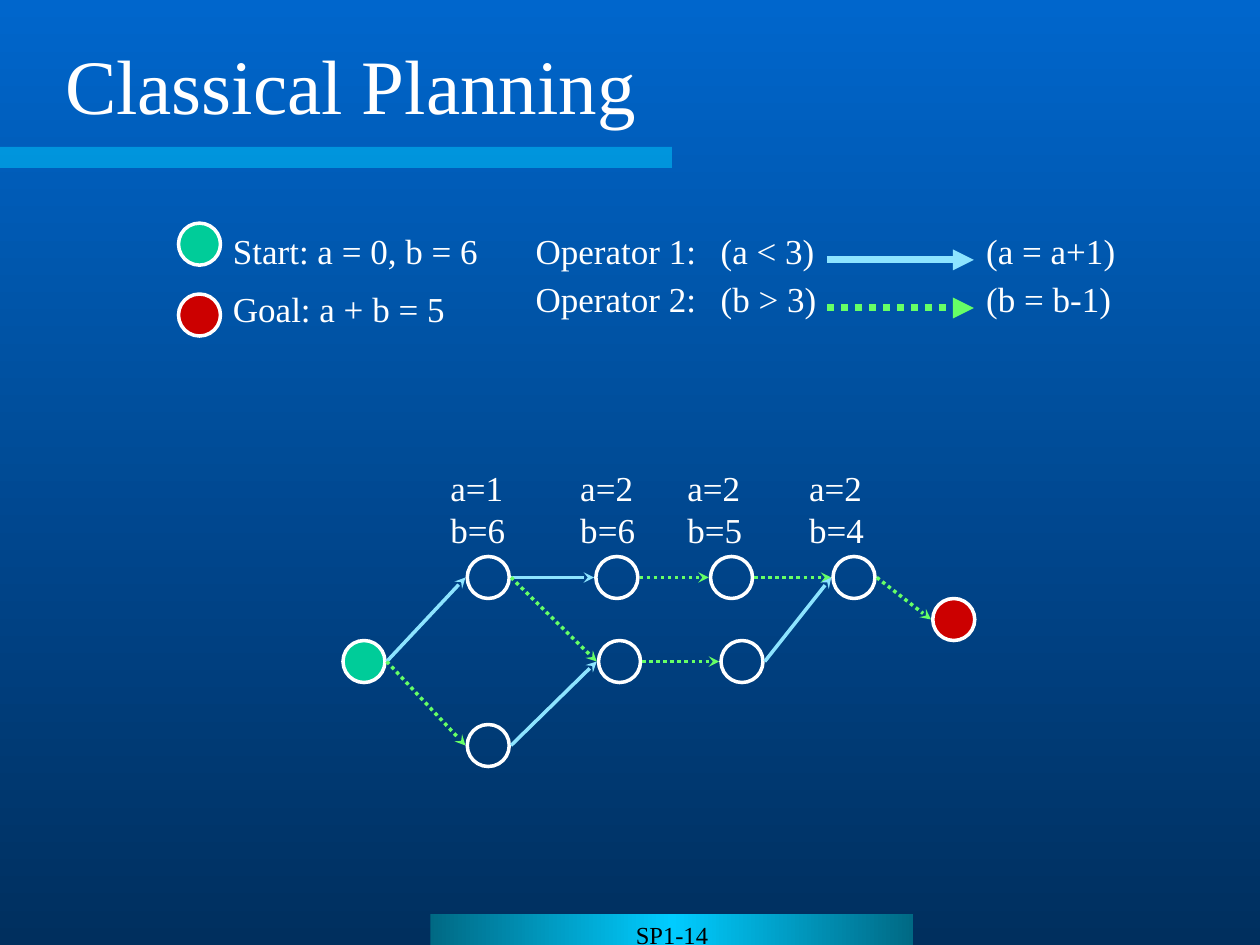
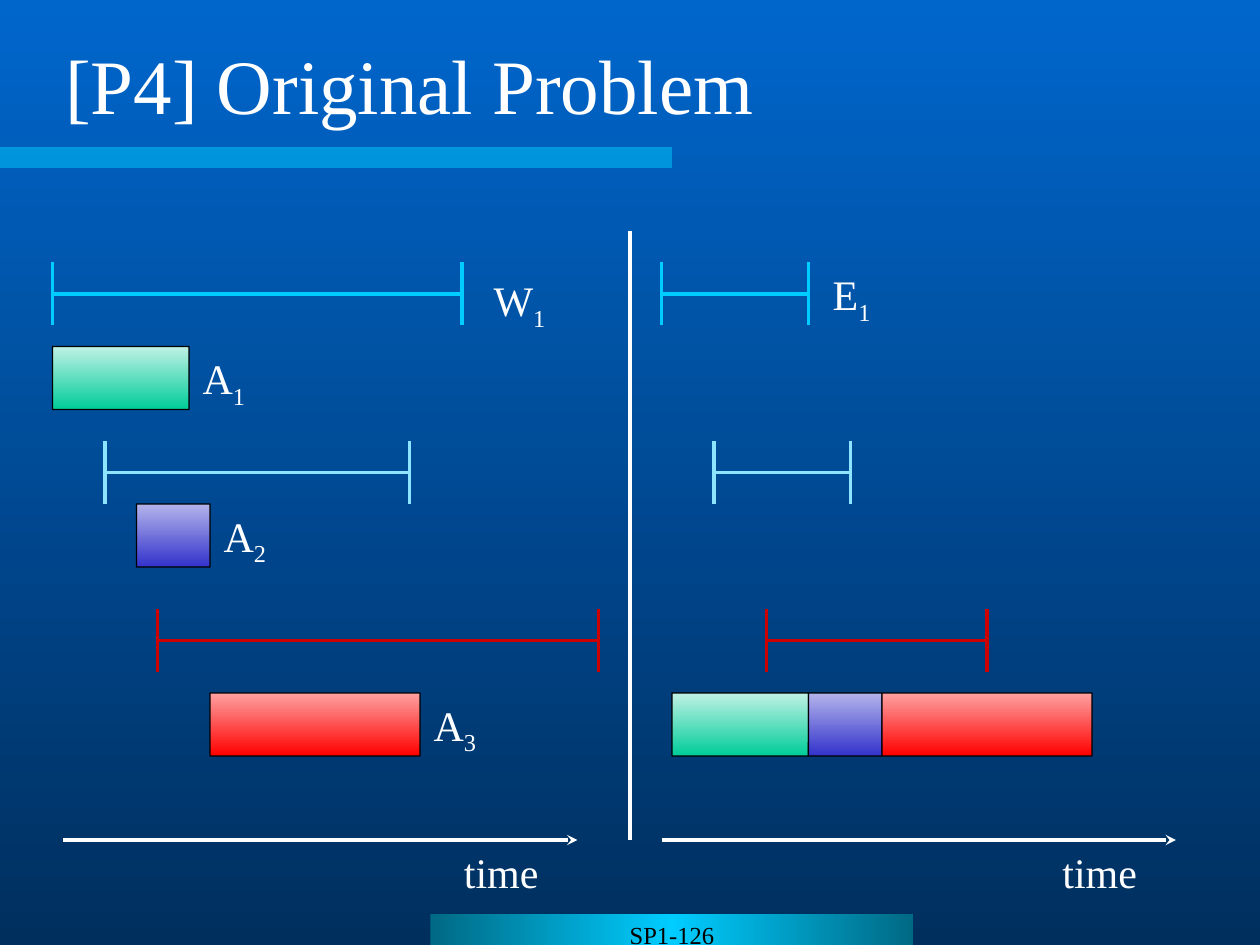
from copy import deepcopy

from pptx import Presentation
from pptx.dml.color import RGBColor
from pptx.enum.dml import MSO_LINE
from pptx.enum.shapes import MSO_CONNECTOR, MSO_SHAPE
from pptx.enum.text import MSO_ANCHOR, MSO_AUTO_SIZE, PP_ALIGN
from pptx.oxml.ns import qn
from pptx.util import Pt

RECT, ROUND, OVAL = MSO_SHAPE.RECTANGLE, MSO_SHAPE.ROUNDED_RECTANGLE, MSO_SHAPE.OVAL
STRAIGHT, DOTS = MSO_CONNECTOR.STRAIGHT, MSO_LINE.ROUND_DOT
LEFT, CENTER = PP_ALIGN.LEFT, PP_ALIGN.CENTER
TOP, MIDDLE = MSO_ANCHOR.TOP, MSO_ANCHOR.MIDDLE
FIXED = MSO_AUTO_SIZE.NONE

FACE = "Times New Roman"
COLOR = {
    "sky": "0066CC", "deep": "002F5E", "cyan": "00CCFF", "teal": "006984",
    "pale": "8DE4FF", "lime": "66FF66", "start": "00CC99", "goal": "CC0000",
    "white": "FFFFFF", "black": "000000",
}
# Top colour, bottom colour and outline width of each activity bar
BARS = {
    "A1": ("C0F1E5", "00CC99", 0.71),
    "A2": ("B3B3EB", "3333CC", 0.75),
    "A3": ("FEA1A1", "FF0000", 0.71),
}
WIDTHS = {"A1": 78, "A2": 42, "A3": 120}
RAD = 12  # node radius
GAP = 13  # from a node's centre to the end of an edge


def rgb(name):
    return RGBColor.from_string(COLOR.get(name, name))


def shade(fill, first, last, angle):
    fill.gradient()
    fill.gradient_angle = angle
    for stop, name, place in zip(fill.gradient_stops, (first, last), (0, 1)):
        stop.color.rgb = rgb(name)
        stop.position = place


def write(frame, *lines, size=20, color="white", align=LEFT, anchor=TOP,
          sub=None, wrap=False):
    """Fill a text frame; sub is a subscript after the last line."""
    frame.word_wrap = wrap
    frame.auto_size = FIXED
    frame.vertical_anchor = anchor
    for i, line in enumerate(lines):
        para = frame.add_paragraph() if i else frame.paragraphs[0]
        para.alignment = align
        para.add_run().text = line
    if sub:
        low = para.add_run()
        low.text = sub
        low._r.get_or_add_rPr().set("baseline", "-25000")
    for para in frame.paragraphs:
        for run in para.runs:
            run.font.name = FACE
            run.font.size = Pt(size)
            run.font.color.rgb = rgb(color)


def label(slide, x, y, w, h, *lines, **style):
    box = slide.shapes.add_textbox(Pt(x), Pt(y), Pt(w), Pt(h))
    write(box.text_frame, *lines, **style)


def shape(slide, kind, x, y, w, h, fill=None, line=None, width=2):
    item = slide.shapes.add_shape(kind, Pt(x), Pt(y), Pt(w), Pt(h))
    item.shadow.inherit = False
    if fill:
        item.fill.solid()
        item.fill.fore_color.rgb = rgb(fill)
    else:
        item.fill.background()
    if line:
        item.line.color.rgb = rgb(line)
        item.line.width = Pt(width)
    else:
        item.line.fill.background()
    return item


def stroke(slide, x1, y1, x2, y2, color="white", width=2, dots=False, tip=None):
    link = slide.shapes.add_connector(STRAIGHT, Pt(x1), Pt(y1), Pt(x2), Pt(y2))
    link.line.color.rgb = rgb(color)
    link.line.width = Pt(width)
    if dots:
        link.line.dash_style = DOTS
    props = link._element.spPr
    if tip:
        ln = props.find(qn("a:ln"))
        ln.append(ln.makeelement(qn("a:tailEnd"), {"type": tip}))
    props.append(props.makeelement(qn("a:effectLst"), {}))


def page(deck, title, number):
    """Add a slide with the shared background, title, rule and footer."""
    slide = deck.slides.add_slide(deck.slide_layouts[5])
    shade(slide.background.fill, "sky", "deep", 270)

    rule = shape(slide, RECT, 0, 84, 384, 12, "cyan")
    tint = next(rule._element.spPr.iter(qn("a:srgbClr")))
    tint.append(tint.makeelement(qn("a:alpha"), {"val": "50000"}))

    foot = shape(slide, RECT, 246, 522, 276, 18)
    shade(foot.fill, "teal", "teal", 0)
    stops = next(foot._element.spPr.iter(qn("a:gsLst")))
    stops.insert(1, deepcopy(stops[0]))
    mid = foot.fill.gradient_stops[1]
    mid.position = 0.5
    mid.color.rgb = rgb("cyan")
    write(foot.text_frame, number, size=14, color="black", align=CENTER, wrap=True)

    head = slide.shapes.title
    head.left, head.top, head.width, head.height = Pt(30), Pt(18), Pt(666), Pt(60)
    write(head.text_frame, title, size=44, anchor=MIDDLE, wrap=True)
    return slide


def node(slide, x, y, fill=None):
    shape(slide, OVAL, x - RAD, y - RAD, 2 * RAD, 2 * RAD, fill, "white")


def step(slide, x1, y1, x2, y2, kind, **style):
    """Draw an arrow for operator 1 (solid) or 2 (dotted)."""
    color = "pale" if kind == 1 else "lime"
    stroke(slide, x1, y1, x2, y2, color, dots=kind == 2, **style)


def legend(slide):
    node(slide, 114, 139.5, "start")
    node(slide, 114, 180, "goal")
    label(slide, 126, 127.5, 154, 32, "Start: a = 0, b = 6")
    label(slide, 126, 160.5, 135, 32, "Goal: a + b = 5")
    rows = [("(a < 3)", 68, "(a = a+1)", 88), ("(b > 3)", 69, "(b = b-1)", 86)]
    for i, (test, w1, act, w2) in enumerate(rows):
        kind, y = i + 1, 127.5 + 27.5 * i
        label(slide, 299, y, 106, 32, f"Operator {kind}:")
        label(slide, 404.75, y, w1, 32, test)
        step(slide, 472.5, y + 21, 556.5, y + 21, kind, width=4, tip="triangle")
        label(slide, 556.5, y, w2, 32, act)


def graph(slide):
    high, mid, low = 330, 378, 426
    nodes = {
        "start": (208, mid), "a1b6": (279, high), "a2b6": (352.5, high),
        "a2b5": (418, high), "a2b4": (488, high), "a0b5": (279, low),
        "a1b5": (354, mid), "a1b4": (424, mid), "goal": (545, 354),
    }
    edges = [
        ("start", "a1b6", 1), ("a1b6", "a2b6", 1), ("a2b6", "a2b5", 2),
        ("a2b5", "a2b4", 2), ("a2b4", "goal", 2), ("a1b6", "a1b5", 2),
        ("a1b5", "a1b4", 2), ("a1b4", "a2b4", 1), ("start", "a0b5", 2),
        ("a0b5", "a1b5", 1),
    ]
    for name, (x, y) in nodes.items():
        node(slide, x, y, name if name in ("start", "goal") else None)
    for src, dst, kind in edges:
        (x1, y1), (x2, y2) = nodes[src], nodes[dst]
        step(slide, x1 + GAP, y1, x2 - GAP, y2, kind, tip="stealth")
    states = [(250.25, 1, 6), (324.5, 2, 6), (385.75, 2, 5), (455.25, 2, 4)]
    for x, a, b in states:
        label(slide, x, 263, 45, 55, f"a={a}", f"b={b}")


def span(slide, x1, x2, y, color):
    """Draw a time window: a level line with a stop at each end."""
    stroke(slide, x1, y, x2, y, color)
    for x in (x1, x2):
        stroke(slide, x, y - 18, x, y + 18, color)


def bar(slide, name, x, y):
    light, dark, width = BARS[name]
    item = shape(slide, ROUND, x, y, WIDTHS[name], 36, line="black", width=width)
    item.adjustments[0] = 0.003
    shade(item.fill, light, dark, 270)


def tag(slide, x, y, w, name):
    label(slide, x, y, w, 40, name[0], sub=name[1], size=24)


def axis(slide, x):
    stroke(slide, x, 480, x + 294, 480, tip="stealth")
    label(slide, x + 222, 480, 57, 36, "time", size=24)


def chart(slide):
    rows = [
        (168, "cyan", (30, 264), (378, 462)),
        (270, "pale", (60, 234), (408, 486)),
        (366, "goal", (90, 342), (438, 564)),
    ]
    for y, color, *pairs in rows:
        for x1, x2 in pairs:
            span(slide, x1, x2, y, color)
    x = 384
    for name, left, y in [("A1", 30, 198), ("A2", 78, 288), ("A3", 120, 396)]:
        bar(slide, name, left, y)
        tag(slide, left + WIDTHS[name] + 0.75, y, 39, name)
        bar(slide, name, x, 396)
        x += WIDTHS[name]
    tag(slide, 275, 153.5, 44, "W1")
    tag(slide, 468.75, 150, 36, "E1")
    stroke(slide, 360, 132, 360, 480)
    axis(slide, 36)
    axis(slide, 378)


def main():
    deck = Presentation()
    deck.slide_width, deck.slide_height = Pt(720), Pt(540)
    plan = page(deck, "Classical Planning", "SP1-14")
    legend(plan)
    graph(plan)
    chart(page(deck, "[P4] Original Problem", "SP1-126"))
    deck.save("out.pptx")


if __name__ == "__main__":
    main()
